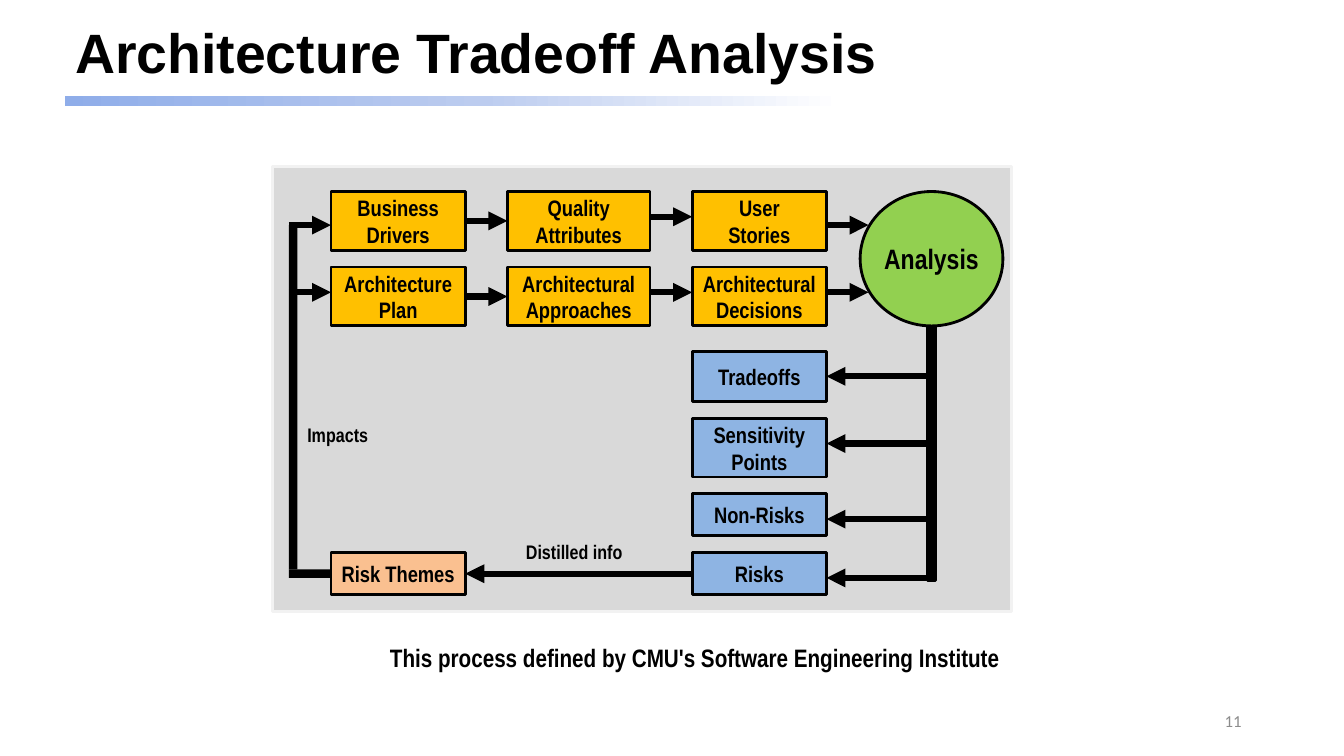
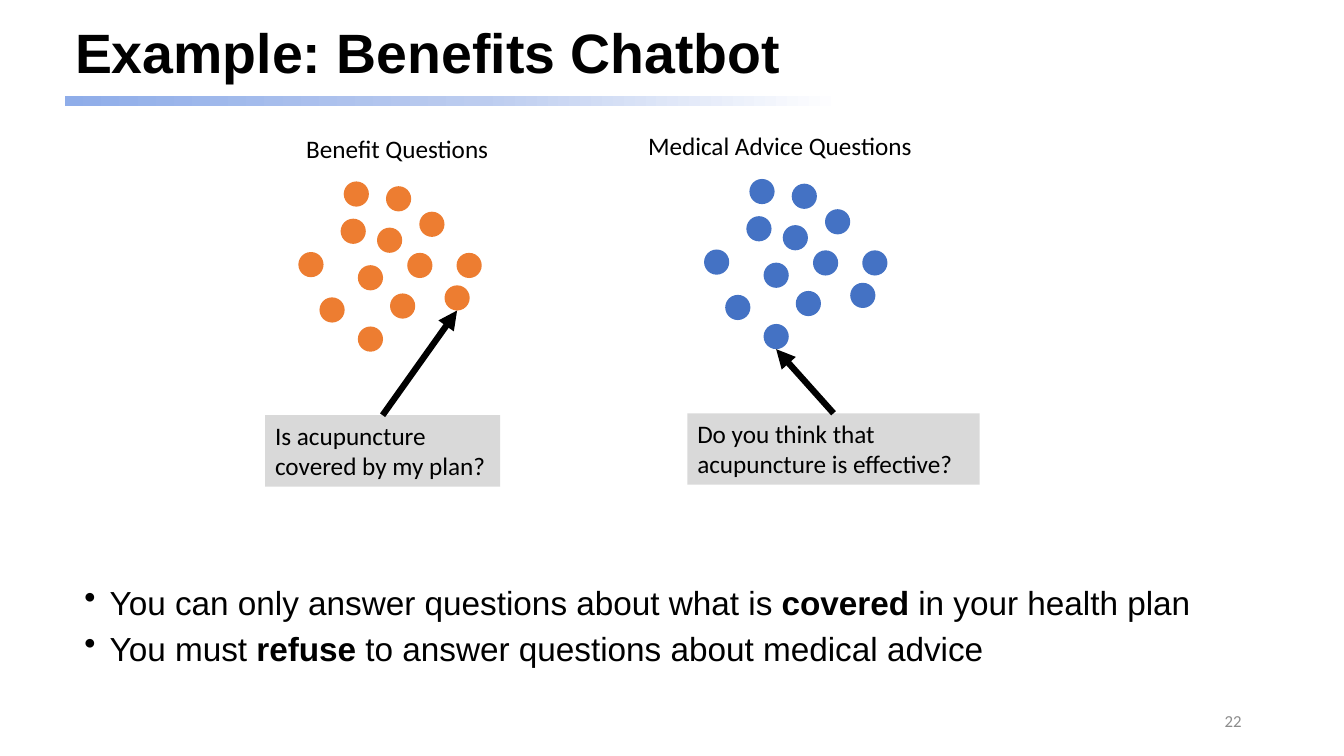
"""Builds two lecture slides: architecture tradeoff analysis and a chatbot example."""
import copy
from dataclasses import dataclass
from typing import Any, NamedTuple, Optional, Union

import pptx
import pptx.dml.color
import pptx.enum.shapes
import pptx.enum.text
import pptx.oxml.ns
import pptx.oxml.xmlchemy
import pptx.util

Pt = pptx.util.Pt
RGBColor = pptx.dml.color.RGBColor
SHAPE = pptx.enum.shapes.MSO_SHAPE
ALIGN = pptx.enum.text.PP_ALIGN
ANCHOR = pptx.enum.text.MSO_ANCHOR
OxmlElement = pptx.oxml.xmlchemy.OxmlElement
qn = pptx.oxml.ns.qn

BLACK = RGBColor(0x00, 0x00, 0x00)
PAGE_GRAY = RGBColor(0x8C, 0x8C, 0x8C)
PANEL_GRAY = RGBColor(0xD9, 0xD9, 0xD9)
PANEL_EDGE = RGBColor(0xF2, 0xF2, 0xF2)
AMBER = RGBColor(0xFF, 0xC0, 0x00)
GREEN = RGBColor(0x92, 0xD0, 0x50)
SKY = RGBColor(0x8E, 0xB4, 0xE3)
PEACH = RGBColor(0xFA, 0xC0, 0x90)
ORANGE = RGBColor(0xED, 0x7D, 0x31)
BLUE = RGBColor(0x44, 0x72, 0xC4)
BAND_STOPS = (
    (0, RGBColor(0x8F, 0xAD, 0xE9)),
    (0.36, RGBColor(0xBC, 0xCC, 0xEF)),
    (0.67, RGBColor(0xFF, 0xFF, 0xFF)),
)

TOP, LEFT, BOTTOM, RIGHT = range(4)
ARROW_WIDTH = 4.5
DOT = 18


class Rect(NamedTuple):
    """Position and size in points."""
    x: float
    y: float
    w: float
    h: float


class Point(NamedTuple):
    """A place on the slide in points."""
    x: float
    y: float


class Port(NamedTuple):
    """The middle of one side of a shape."""
    shape: Any
    side: int


class Font(NamedTuple):
    """Typeface, size and look of a run."""
    name: str
    size: float
    bold: bool = False
    color: RGBColor = BLACK


TITLE_FONT = Font("Arial", 39.6, True)
BODY_FONT = Font("Arial", 23.8)
PAGE_FONT = Font("Calibri", 12, color=PAGE_GRAY)
BOX_FONT = Font("Arial Narrow", 16, True)
ANALYSIS_FONT = Font("Arial Narrow", 20, True)
LABEL_FONT = Font("Arial Narrow", 14, True)
CAPTION_FONT = Font("Arial Narrow", 18, True)
NOTE_FONT = Font("Calibri", 18)


@dataclass(frozen=True)
class Box:
    """A labelled rectangle of the process diagram."""
    label: str
    x: float
    y: float
    w: float
    h: float
    fill: RGBColor


@dataclass(frozen=True)
class Cluster:
    """A group of dots with a heading and one question pointing at a dot."""
    heading: str
    heading_at: Rect
    origin: Point
    color: RGBColor
    question: str
    question_at: Rect
    target: int


COL_1, COL_2, COL_3 = 236.4, 362.4, 494.4
ROW_1, ROW_2, ROW_RISK = 136.8, 190.8, 394.8
BOX_W, WIDE_W, BOX_H, SLIM_H = 96, 102, 42, 30
SPINE_X, TRUNK_X = 206.4, 662.4

BOXES = (
    Box("Business\nDrivers", COL_1, ROW_1, BOX_W, BOX_H, AMBER),
    Box("Quality\nAttributes", COL_2, ROW_1, WIDE_W, BOX_H, AMBER),
    Box("User\nStories", COL_3, ROW_1, BOX_W, BOX_H, AMBER),
    Box("Architecture\nPlan", COL_1, ROW_2, BOX_W, BOX_H, AMBER),
    Box("Architectural\nApproaches", COL_2, ROW_2, WIDE_W, BOX_H, AMBER),
    Box("Architectural\nDecisions", COL_3, ROW_2, BOX_W, BOX_H, AMBER),
    Box("Tradeoffs", COL_3, 250.8, BOX_W, 36, SKY),
    Box("Sensitivity\nPoints", COL_3, 298.8, BOX_W, BOX_H, SKY),
    Box("Non-Risks", COL_3, 352.8, BOX_W, SLIM_H, SKY),
    Box("Risks", COL_3, ROW_RISK, BOX_W, SLIM_H, SKY),
    Box("Risk Themes", COL_1, ROW_RISK, BOX_W, SLIM_H, PEACH),
)

DOTS = (
    Point(32.4, 0), Point(62.6, 3.4), Point(30.2, 26.6), Point(56.2, 33),
    Point(86.4, 21.6), Point(77.8, 51), Point(42.5, 59.8), Point(65.5, 80),
    Point(113, 51), Point(104.4, 74.2), Point(15.1, 82.8), Point(42.5, 103.6),
    Point(0, 50.4),
)
CLUSTERS = (
    Cluster("Benefit Questions", Rect(211.7, 91.4, 146.2, 29), Point(213.1, 129.6), ORANGE,
            "Is acupuncture covered by my plan?", Rect(189.4, 296.6, 167.8, 51), 9),
    Cluster("Medical Advice Questions", Rect(455.8, 89.3, 208.8, 29), Point(502.9, 127.8), BLUE,
            "Do you think that acupuncture is effective?", Rect(491, 295.2, 208.8, 51), 11),
)
RULES = (
    (("You can only answer questions about what is ", False), ("covered", True),
     (" in your health plan", False)),
    (("You must ", False), ("refuse", True),
     (" to answer questions about medical advice", False)),
)


def place(rect: Rect) -> tuple:
    """Convert a rectangle to point lengths."""
    return tuple(Pt(v) for v in rect)


def add_run(p: Any, text: str, font: Font) -> None:
    """Append one formatted run to a paragraph."""
    r = p.add_run()
    r.text = text
    r.font.name, r.font.size, r.font.bold = font.name, Pt(font.size), font.bold
    r.font.color.rgb = font.color


def write(tf: Any, text: str, font: Font, align: ALIGN = ALIGN.LEFT) -> None:
    """Fill a text frame with one paragraph per line."""
    for i, line in enumerate(text.split("\n")):
        p = tf.add_paragraph() if i else tf.paragraphs[0]
        p.alignment = align
        add_run(p, line, font)


def add_text(s: Any, rect: Rect, text: str, font: Font, align: ALIGN = ALIGN.LEFT,
             anchor: ANCHOR = ANCHOR.TOP, wrap: bool = False) -> Any:
    """Add a text box."""
    sp = s.shapes.add_textbox(*place(rect))
    tf = sp.text_frame
    tf.word_wrap, tf.vertical_anchor = wrap, anchor
    write(tf, text, font, align)
    return sp


def add_shape(shapes: Any, kind: SHAPE, rect: Rect, fill: Optional[RGBColor],
              line: Optional[RGBColor] = None) -> Any:
    """Add a flat preset shape with an optional two-point outline."""
    sp = shapes.add_shape(kind, *place(rect))
    sp.shadow.inherit = False
    if fill is not None:
        sp.fill.solid()
        sp.fill.fore_color.rgb = fill
    if line is None:
        sp.line.fill.background()
    else:
        sp.line.color.rgb, sp.line.width = line, Pt(2)
    return sp


def label(sp: Any, text: str, font: Font, inset: float) -> None:
    """Centre a label inside a shape."""
    tf = sp.text_frame
    tf.margin_left = tf.margin_right = Pt(inset)
    tf.vertical_anchor = ANCHOR.MIDDLE
    write(tf, text, font, ALIGN.CENTER)


def add_arrow(s: Any, start: Union[Point, Port], end: Union[Point, Port]) -> None:
    """Draw a thick arrow, joined to a shape wherever a port is given."""
    ends = [Point(0, 0) if isinstance(e, Port) else e for e in (start, end)]
    c = s.shapes.add_connector(pptx.enum.shapes.MSO_CONNECTOR.STRAIGHT,
                               *(Pt(v) for point in ends for v in point))
    if isinstance(start, Port):
        c.begin_connect(start.shape, start.side)
    if isinstance(end, Port):
        c.end_connect(end.shape, end.side)
    c.line.color.rgb, c.line.width = BLACK, Pt(ARROW_WIDTH)
    tail = OxmlElement("a:tailEnd")
    tail.set("type", "triangle")
    c.line._get_or_add_ln().append(tail)
    c._element.spPr.append(OxmlElement("a:effectLst"))


def new_slide(prs: Any, title: str, number: str) -> Any:
    """Add a slide with the shared band, title and page number."""
    s = prs.slides.add_slide(prs.slide_layouts[5])
    band = add_shape(s.shapes, SHAPE.RECTANGLE, Rect(46.4, 68.6, 828, 7.2), None)
    band.fill.gradient()
    band.fill.gradient_angle = 0
    stops = band._element.spPr.find(".//" + qn("a:gsLst"))
    stops.append(copy.deepcopy(stops[0]))
    for stop, (position, color) in zip(band.fill.gradient_stops, BAND_STOPS):
        stop.position, stop.color.rgb = position, color
    sp = s.shapes.title
    sp.left, sp.top, sp.width, sp.height = place(Rect(46.4, 13, 828, 54))
    tf = sp.text_frame
    tf.auto_size = pptx.enum.text.MSO_AUTO_SIZE.NONE
    tf.vertical_anchor = ANCHOR.MIDDLE
    write(tf, title, TITLE_FONT)
    tf.paragraphs[0].line_spacing = 0.9
    add_text(s, Rect(678, 500.4, 216, 28.8), number, PAGE_FONT, ALIGN.RIGHT, ANCHOR.MIDDLE, True)
    return s


def tradeoff_slide(prs: Any) -> None:
    """Draw the tradeoff analysis process."""
    s = new_slide(prs, "Architecture Tradeoff Analysis", "11")
    add_shape(s.shapes, SHAPE.RECTANGLE, Rect(194.4, 118.8, 528, 318), PANEL_GRAY, PANEL_EDGE)
    boxes = []
    for b in BOXES:
        sp = add_shape(s.shapes, SHAPE.RECTANGLE, Rect(b.x, b.y, b.w, b.h), b.fill, BLACK)
        label(sp, b.label, BOX_FONT, 3)
        boxes.append(sp)
    drivers, quality, _, plan, approaches, _, tradeoffs, _, _, risks, themes = boxes
    analysis = add_shape(s.shapes, SHAPE.OVAL, Rect(614.4, ROW_1, 102, 96), GREEN, BLACK)
    label(analysis, "Analysis", ANALYSIS_FONT, 0)

    col_2_end, col_3_end = COL_2 + WIDE_W, COL_3 + BOX_W
    for first, second, y in ((drivers, quality, ROW_1), (plan, approaches, ROW_2)):
        add_arrow(s, Port(first, RIGHT), Port(second, LEFT))
        add_arrow(s, Point(col_2_end, y + 18), Point(COL_3, y + 18))
    for y in (160.8, 208.8):
        add_arrow(s, Point(col_3_end, y), Point(col_3_end + 30, y))
        add_arrow(s, Point(SPINE_X, y), Point(COL_1, y))
    add_arrow(s, Point(TRUNK_X, 268.8), Port(tradeoffs, RIGHT))
    for y in (316.8, 370.8, 412.8):
        add_arrow(s, Point(TRUNK_X, y), Point(col_3_end, y))
    add_arrow(s, Port(risks, LEFT), Port(themes, RIGHT))

    add_shape(s.shapes, SHAPE.RECTANGLE, Rect(TRUNK_X, 232.8, 6, 182), BLACK, BLACK)
    for bar in (Rect(SPINE_X, 160.8, 6, 246), Rect(SPINE_X, 406.8, 30, 6)):
        add_shape(s.shapes, SHAPE.RECTANGLE, bar, BLACK)
    add_text(s, Rect(368.6, 382.3, 84.2, 24.2), "Distilled info", LABEL_FONT)
    add_text(s, Rect(212.4, 298.8, 58.3, 24.2), "Impacts", LABEL_FONT)
    add_text(s, Rect(270.7, 455, 451.4, 29),
             "This process defined by CMU's Software Engineering Institute",
             CAPTION_FONT, ALIGN.CENTER, ANCHOR.MIDDLE)


def chatbot_slide(prs: Any) -> None:
    """Draw the two question clusters and the answering rules."""
    s = new_slide(prs, "Example: Benefits Chatbot", "22")
    tf = s.shapes.add_textbox(*place(Rect(53.3, 417.6, 828, 82.8))).text_frame
    tf.word_wrap = True
    for i, rule in enumerate(RULES):
        p = tf.add_paragraph() if i else tf.paragraphs[0]
        pPr = p._p.get_or_add_pPr()
        pPr.set("marL", str(Pt(18)))
        pPr.set("indent", str(-Pt(18)))
        bullet = OxmlElement("a:buChar")
        bullet.set("char", "•")
        pPr.append(bullet)
        p.line_spacing, p.space_before = 0.8, Pt(10 if i else 0)
        for text, bold in rule:
            add_run(p, text, BODY_FONT._replace(bold=bold))
    for c in CLUSTERS:
        group = s.shapes.add_group_shape()
        for d in DOTS:
            add_shape(group.shapes, SHAPE.OVAL,
                      Rect(c.origin.x + d.x, c.origin.y + d.y, DOT, DOT), c.color)
        sp = add_text(s, c.question_at, c.question, NOTE_FONT, wrap=True)
        sp.fill.solid()
        sp.fill.fore_color.rgb = PANEL_GRAY
        d = DOTS[c.target]
        add_arrow(s, Port(sp, TOP), Point(c.origin.x + d.x + DOT / 2, c.origin.y + d.y + DOT))
        add_text(s, c.heading_at, c.heading, NOTE_FONT)


def main() -> None:
    """Build and save the presentation."""
    prs = pptx.Presentation()
    prs.slide_width, prs.slide_height = Pt(960), Pt(540)
    tradeoff_slide(prs)
    chatbot_slide(prs)
    prs.save("out.pptx")


if __name__ == "__main__":
    main()
